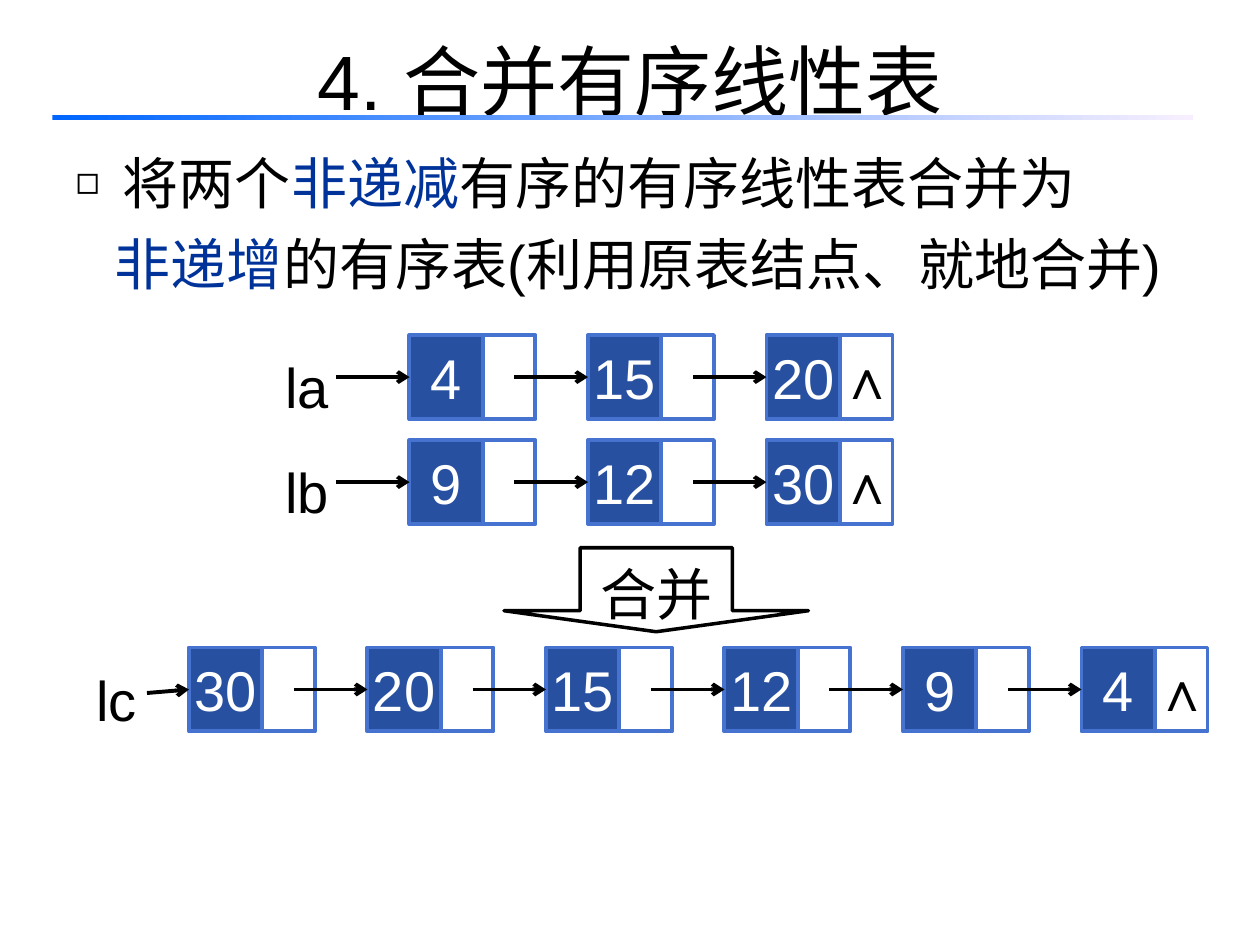
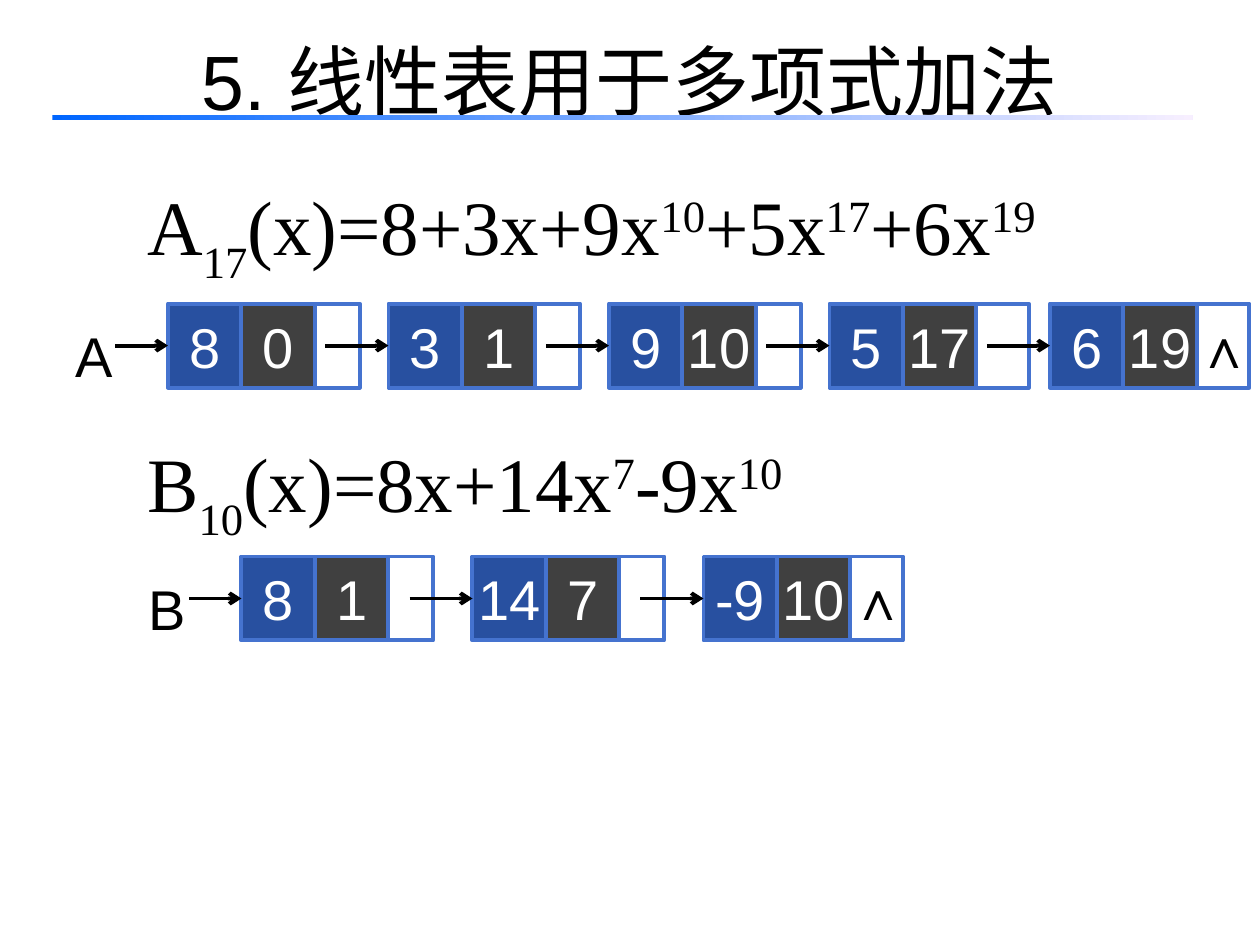
from lxml import etree
from pptx import Presentation
from pptx.dml.color import RGBColor
from pptx.enum.shapes import MSO_CONNECTOR, MSO_SHAPE
from pptx.enum.text import MSO_ANCHOR, MSO_AUTO_SIZE, PP_ALIGN
from pptx.oxml.ns import qn
from pptx.util import Pt

RECT, DOWN_ARROW = MSO_SHAPE.RECTANGLE, MSO_SHAPE.DOWN_ARROW
STRAIGHT = MSO_CONNECTOR.STRAIGHT
TOP, MIDDLE, BOTTOM = MSO_ANCHOR.TOP, MSO_ANCHOR.MIDDLE, MSO_ANCHOR.BOTTOM
LEFT, CENTER = PP_ALIGN.LEFT, PP_ALIGN.CENTER
NO_FIT = MSO_AUTO_SIZE.NONE

BLACK, WHITE, EMPHASIS = "000000", "FFFFFF", "003399"
DATA_FILL, EXPONENT_FILL, CELL_LINE = "2850A0", "404040", "4573CF"
RULE_START, RULE_END = "0066FF", "F7EFFF"
SANS, SERIF = "Arial", "Times New Roman"
TITLE_SIZE, TEXT_SIZE = 44, 32

CELL_WIDTH, CELL_HEIGHT, POINTER_WIDTH = 42, 48, 37.5
LINK_START = 18  # distance of an arrow's start from its node's pointer left


def rgb(hex_color):
    return RGBColor.from_string(hex_color)


def style_font(font, color, size=TEXT_SIZE, name=SANS, bold=False):
    font.size, font.name, font.bold = Pt(size), name, bold
    font.color.rgb = rgb(color)


def place(shape, box):
    shape.left, shape.top, shape.width, shape.height = map(Pt, box)


def add_outlined(slide, kind, box, fill=None, line=None, line_width=2.25):
    shape = slide.shapes.add_shape(kind, *map(Pt, box))
    shape.shadow.inherit = False
    if fill:
        shape.fill.solid()
        shape.fill.fore_color.rgb = rgb(fill)
    else:
        shape.fill.background()
    if line:
        shape.line.color.rgb = rgb(line)
        shape.line.width = Pt(line_width)
    else:
        shape.line.fill.background()
    return shape


def write(shape, text, color, align=CENTER, anchor=MIDDLE, spacing=1.0,
          size=TEXT_SIZE, wrap=True, bold=False):
    frame = shape.text_frame
    frame.text = text
    frame.word_wrap, frame.vertical_anchor = wrap, anchor
    frame.auto_size = NO_FIT
    paragraph = frame.paragraphs[0]
    paragraph.alignment, paragraph.line_spacing = align, spacing
    for run in paragraph.runs:
        style_font(run.font, color, size, bold=bold)


def add_arrow(slide, start, end):
    arrow = slide.shapes.add_connector(STRAIGHT, *map(Pt, start + end))
    arrow.line.color.rgb = rgb(BLACK)
    arrow.line.width = Pt(2.25)
    etree.SubElement(arrow.line._get_or_add_ln(), qn("a:tailEnd"), type="arrow")
    etree.SubElement(arrow._element.spPr, qn("a:effectLst"))


# Heading shared by both slides
def add_heading(slide, title):
    place(slide.shapes.title, (36, -6, 648, 90))
    write(slide.shapes.title, title, BLACK, spacing=1.25, size=TITLE_SIZE)
    rule = add_outlined(slide, RECT, (30, 65.5, 651.6, 3))
    rule.fill.gradient()
    rule.fill.gradient_angle = 0
    for stop, color, position in zip(rule.fill.gradient_stops,
                                     (RULE_START, RULE_END), (0, 1)):
        stop.color.rgb = rgb(color)
        stop.position = position


# Task statement in the body placeholder
def add_statement(body, box, lines):
    place(body, box)
    frame = body.text_frame
    frame.word_wrap, frame.vertical_anchor = True, TOP
    frame.auto_size = NO_FIT
    for index, (bullet, margin, parts) in enumerate(lines):
        paragraph = frame.add_paragraph() if index else frame.paragraphs[0]
        paragraph.line_spacing, paragraph.space_before = 1.2, Pt(0)
        properties = paragraph._p.get_or_add_pPr()
        properties.set("marL", str(Pt(margin)))
        if bullet:
            properties.set("indent", str(-Pt(margin)))
            etree.SubElement(properties, qn("a:buSzPct"), val="70000")
            etree.SubElement(properties, qn("a:buChar"), char=bullet)
        else:
            properties.set("indent", "0")
            etree.SubElement(properties, qn("a:buNone"))
        for text, color in parts:
            run = paragraph.add_run()
            run.text = text
            style_font(run.font, color)


# One node: data cells over a pointer cell, marked when the list ends here
def add_node(slide, left, top, values, pointer_left, is_last):
    pointer = add_outlined(
        slide, RECT, (left + pointer_left, top, POINTER_WIDTH, CELL_HEIGHT),
        line=CELL_LINE)
    if is_last:
        write(pointer, "∧", BLACK, wrap=False, bold=True)
        pointer.text_frame.margin_left = Pt(9)
        pointer.text_frame.margin_right = Pt(0)
    for index, (value, fill) in enumerate(zip(values, (DATA_FILL, EXPONENT_FILL))):
        cell = add_outlined(
            slide, RECT, (left + index * CELL_WIDTH, top, CELL_WIDTH, CELL_HEIGHT),
            fill, CELL_LINE)
        write(cell, str(value), WHITE, wrap=False)


# A labelled linked list whose first node starts at (left, top)
def add_linked_list(slide, left, top, label, nodes, pitch, pointer_left,
                    label_gap=60, lead=30, lead_drop=0, wide_from=None):
    label_box = slide.shapes.add_textbox(
        *map(Pt, (left - label_gap, top - 3, 48, 54)))
    write(label_box, label, BLACK, LEFT, TOP, spacing=1.25)

    last = len(nodes) - 1
    for index, values in enumerate(nodes):
        is_wide = wide_from is not None and index >= wide_from
        add_node(slide, left + index * pitch, top, values,
                 pointer_left + 4.5 * is_wide, index == last)

    middle = top + CELL_HEIGHT / 2
    add_arrow(slide, (left - lead, middle + lead_drop), (left, middle))
    link = pitch - pointer_left - LINK_START
    link = 42 if len(nodes[0]) == 1 else 36 if link > 30 else link
    for index in range(1, len(nodes)):
        target = left + index * pitch
        add_arrow(slide, (target - link, middle), (target, middle))


def add_merge_arrow(slide, box, text):
    arrow = add_outlined(slide, DOWN_ARROW, box, line=BLACK, line_width=2)
    arrow.adjustments[0], arrow.adjustments[1] = 0.5, 0.25
    write(arrow, text, BLACK, spacing=1.25)


# Polynomial: each part is text with its baseline shift in percent
def add_polynomial(slide, box, parts):
    panel = add_outlined(slide, RECT, box, WHITE)
    color = panel._element.spPr.find(".//" + qn("a:srgbClr"))
    etree.SubElement(color, qn("a:alpha"), val="50000")
    write(panel, "", BLACK, LEFT, BOTTOM, spacing=1.4)
    for text, shift in parts:
        run = panel.text_frame.paragraphs[0].add_run()
        run.text = text
        style_font(run.font, BLACK, TITLE_SIZE, SERIF)
        if shift:
            run._r.get_or_add_rPr().set("baseline", str(shift * 1000))


def build_merge_slide(deck):
    slide = deck.slides.add_slide(deck.slide_layouts[1])
    add_heading(slide, "4. 合并有序线性表")
    add_statement(slide.placeholders[1], (36, 73.5, 672, 100), [
        ("◻", 27, [("将两个", BLACK), ("非递减", EMPHASIS),
                   ("有序的有序线性表合并为", BLACK)]),
        (None, 22.5, [("非递增", EMPHASIS),
                      ("的有序表(利用原表结点、就地合并)", BLACK)]),
    ])
    single = {"pitch": 102, "pointer_left": 34.5}
    sources = [("la", [(4,), (15,), (20,)]), ("lb", [(9,), (12,), (30,)])]
    for row, (label, nodes) in enumerate(sources):
        add_linked_list(slide, 234, 191.5 + row * 60, label, nodes,
                        label_gap=78, lead=42, **single)
    add_merge_arrow(slide, (288, 313, 174, 48), "合并")
    merged = [(30,), (20,), (15,), (12,), (9,), (4,)]
    add_linked_list(slide, 108, 370, "lc", merged, lead=24, lead_drop=2, **single)


def build_polynomial_slide(deck):
    slide = deck.slides.add_slide(deck.slide_layouts[5])
    add_heading(slide, "5. 线性表用于多项式加法")
    add_polynomial(slide, (77, 90, 589, 78), [
        ("A", 0), ("17", -30), ("(x)=8+3x+9x", 0), ("10", 30),
        ("+5x", 0), ("17", 30), ("+6x", 0), ("19", 30)])
    add_linked_list(slide, 96, 173.5, "A",
                    [(8, 0), (3, 1), (9, 10), (5, 17), (6, 19)],
                    pitch=126, pointer_left=72, wide_from=3)
    add_polynomial(slide, (77, 234, 589, 80.5), [
        ("B", 0), ("10", -30), ("(x)=8x+14x", 0), ("7", 30),
        ("-9x", 0), ("10", 30)])
    add_linked_list(slide, 138, 318, "B", [(8, 1), (14, 7), (-9, 10)],
                    pitch=132, pointer_left=72, wide_from=2)


def main():
    deck = Presentation()
    deck.slide_width, deck.slide_height = Pt(720), Pt(540)
    build_merge_slide(deck)
    build_polynomial_slide(deck)
    deck.save("out.pptx")


if __name__ == "__main__":
    main()
